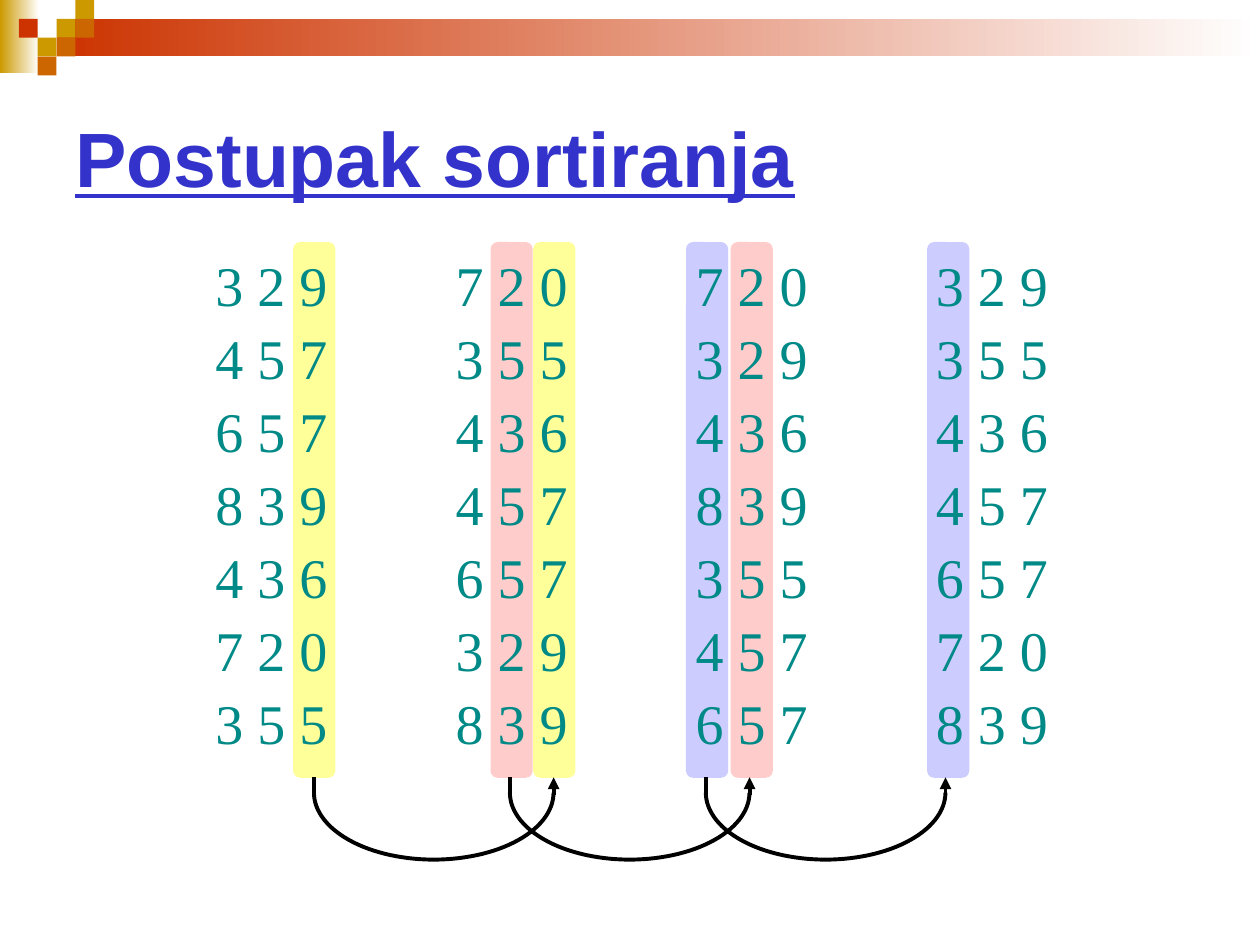
from dataclasses import dataclass
from math import cos, pi, sin

from lxml.etree import SubElement
from pptx import Presentation
from pptx.dml.color import RGBColor as Rgb
from pptx.enum.shapes import MSO_CONNECTOR as Connector
from pptx.enum.shapes import MSO_SHAPE as Preset
from pptx.enum.text import MSO_ANCHOR as Anchor
from pptx.enum.text import PP_ALIGN as Align
from pptx.oxml.ns import qn
from pptx.shapes.autoshape import Shape
from pptx.shapes.connector import Connector as Line
from pptx.shapes.shapetree import GroupShapes, SlideShapes
from pptx.util import Cm, Pt


@dataclass(frozen=True)
class Theme:
    white: Rgb = Rgb.from_string("FFFFFF")
    black: Rgb = Rgb.from_string("000000")
    gold: Rgb = Rgb.from_string("CC9900")
    orange: Rgb = Rgb.from_string("CC6600")
    red: Rgb = Rgb.from_string("CC3300")
    title: Rgb = Rgb.from_string("3333CC")
    digits: Rgb = Rgb.from_string("008A87")
    yellow: Rgb = Rgb.from_string("FFFF99")
    pink: Rgb = Rgb.from_string("FFCCCC")
    violet: Rgb = Rgb.from_string("CCCCFF")
    title_font: str = "Arial"
    digit_font: str = "Times New Roman"
    title_size: Pt = Pt(44)
    digit_size: Pt = Pt(32)
    stroke: Pt = Pt(2.25)


@dataclass(frozen=True)
class Box:
    left: float
    top: float
    width: float
    height: float

    def lengths(self) -> tuple[Cm, Cm, Cm, Cm]:
        return Cm(self.left), Cm(self.top), Cm(self.width), Cm(self.height)


@dataclass(frozen=True)
class Fade:
    box: Box
    color: Rgb


@dataclass(frozen=True)
class Tile:
    column: int
    row: int
    color: Rgb


@dataclass(frozen=True)
class Band:
    left: float
    color: Rgb


THEME = Theme()
TILE_SIZE = 0.38
BAND_TOP, BAND_WIDTH, BAND_HEIGHT = 4.88, 0.85, 10.8
LIST_LEFT, LIST_STEP = 4.09, 4.84
ROW_TOP, ROW_STEP = 4.93, 1.47
NUMBER_WIDTH, NUMBER_HEIGHT = 2.77, 1.63
ARC_LEFT, ARC_STEP, ARC_WIDTH = 6.33, 3.95, 4.83
ARC_TOP, ARC_HEIGHT, ARC_POINTS = 15.98, 1.35, 60
STEM_TOP, STEM_BOTTOM = 15.67, 16.03

FADES = [
    Fade(Box(0, 0, 0.79, 1.47), THEME.gold),
    Fade(Box(1.14, 0.38, 24.26, 0.76), THEME.red),
]
TILES = [
    Tile(3, 1, THEME.gold),
    Tile(4, 0, THEME.gold),
    Tile(4, 1, THEME.orange),
    Tile(2, 2, THEME.gold),
    Tile(1, 1, THEME.red),
    Tile(3, 2, THEME.orange),
    Tile(2, 3, THEME.orange),
]
BANDS = [
    Band(5.91, THEME.yellow),
    Band(9.89, THEME.pink),
    Band(10.75, THEME.yellow),
    Band(13.83, THEME.violet),
    Band(14.73, THEME.pink),
    Band(18.69, THEME.violet),
]
NUMBERS = ["329", "457", "657", "839", "436", "720", "355"]


def radix_passes(numbers: list[str]) -> list[list[str]]:
    passes = [numbers]
    for digit in (2, 1, 0):
        passes.append(sorted(passes[-1], key=lambda number: number[digit]))
    return passes


def add_block(shapes: SlideShapes, preset: Preset, box: Box) -> Shape:
    shape = shapes.add_shape(preset, *box.lengths())
    shape.shadow.inherit = False
    shape.line.fill.background()
    return shape


def add_solid(shapes: SlideShapes, preset: Preset, box: Box, color: Rgb) -> None:
    shape = add_block(shapes, preset, box)
    shape.fill.solid()
    shape.fill.fore_color.rgb = color


def add_fade(shapes: SlideShapes, fade: Fade) -> None:
    shape = add_block(shapes, Preset.RECTANGLE, fade.box)
    shape.fill.gradient()
    shape.fill.gradient_angle = 180
    for stop, color in zip(shape.fill.gradient_stops, (THEME.white, fade.color)):
        stop.color.rgb = color


def add_title(shapes: SlideShapes, text: str) -> None:
    frame = shapes.add_textbox(*Box(1.27, 1.6, 22.86, 3.12).lengths()).text_frame
    frame.word_wrap = True
    frame.vertical_anchor = Anchor.MIDDLE
    paragraph = frame.paragraphs[0]
    paragraph.text = text
    font = paragraph.font
    font.name, font.size, font.color.rgb = THEME.title_font, THEME.title_size, THEME.title
    font.bold = font.underline = True


def add_number(shapes: GroupShapes, left: float, top: float, number: str) -> None:
    box = Box(left, top, NUMBER_WIDTH, NUMBER_HEIGHT)
    frame = shapes.add_textbox(*box.lengths()).text_frame
    frame.word_wrap = False
    paragraph = frame.paragraphs[0]
    paragraph.text = " ".join(number)
    paragraph.alignment = Align.CENTER
    font = paragraph.font
    font.name, font.size, font.color.rgb = THEME.digit_font, THEME.digit_size, THEME.digits


def set_stroke(shape: Shape | Line) -> None:
    shape.line.color.rgb = THEME.black
    shape.line.width = THEME.stroke


def add_stem(shapes: GroupShapes, x: float) -> Line:
    stem = shapes.add_connector(
        Connector.STRAIGHT, Cm(x), Cm(STEM_BOTTOM), Cm(x), Cm(STEM_TOP)
    )
    set_stroke(stem)
    SubElement(stem._element.spPr, qn("a:effectLst"))
    return stem


def add_arc_arrow(shapes: GroupShapes, left: float) -> None:
    radius = ARC_WIDTH / 2
    points = []
    for index in range(ARC_POINTS + 1):
        angle = pi * index / ARC_POINTS
        x = left + radius * (1 - cos(angle))
        points.append((Cm(x), Cm(ARC_TOP + ARC_HEIGHT * sin(angle))))
    builder = shapes.build_freeform(*points[0])
    builder.add_line_segments(points[1:], close=False)
    arc = builder.convert_to_shape()
    arc.shadow.inherit = False
    arc.fill.background()
    set_stroke(arc)
    add_stem(shapes, left)
    arrow = add_stem(shapes, left + ARC_WIDTH)
    SubElement(arrow.line._get_or_add_ln(), qn("a:tailEnd"), type="triangle")


def main() -> None:
    presentation = Presentation()
    presentation.slide_width, presentation.slide_height = Cm(25.4), Cm(19.05)
    shapes = presentation.slides.add_slide(presentation.slide_layouts[6]).shapes
    for fade in FADES:
        add_fade(shapes, fade)
    for tile in TILES:
        left, top = tile.column * TILE_SIZE, tile.row * TILE_SIZE
        add_solid(shapes, Preset.RECTANGLE, Box(left, top, TILE_SIZE, TILE_SIZE), tile.color)
    add_title(shapes, "Postupak sortiranja")
    for band in BANDS:
        box = Box(band.left, BAND_TOP, BAND_WIDTH, BAND_HEIGHT)
        add_solid(shapes, Preset.ROUNDED_RECTANGLE, box, band.color)
    for column, numbers in enumerate(radix_passes(NUMBERS)):
        group = shapes.add_group_shape()
        for row, number in enumerate(numbers):
            left, top = LIST_LEFT + column * LIST_STEP, ROW_TOP + row * ROW_STEP
            add_number(group.shapes, left, top, number)
    for index in range(3):
        add_arc_arrow(shapes.add_group_shape().shapes, ARC_LEFT + index * ARC_STEP)
    presentation.save("out.pptx")


if __name__ == "__main__":
    main()
